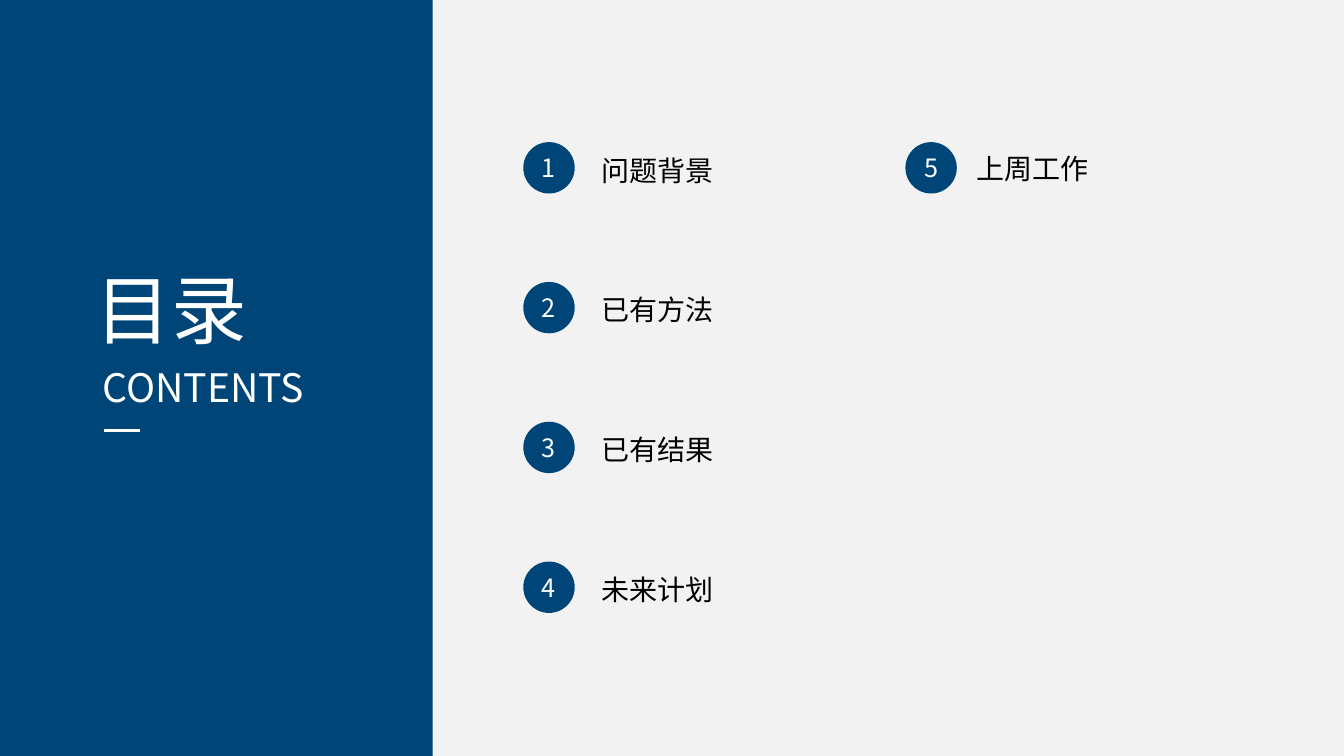
import pptx
import pptx.util
import pptx.dml.color
import pptx.enum.shapes
import pptx.enum.text
import pptx.oxml.ns
import lxml.etree
from dataclasses import dataclass

Inches = pptx.util.Inches
ALIGN = pptx.enum.text.PP_ALIGN
SHAPES = pptx.enum.shapes.MSO_SHAPE

# Content: each column holds (entry, label width)
TITLE, SUBTITLE = "目录", "CONTENTS"
COLUMNS = [
    [("问题背景", 3.16), ("已有方法", 2.9), ("已有结果", 3.73), ("未来计划", 1.62)],
    [("上周工作", 1.62)],
]

# Layout in inches
SLIDE_WIDTH, SLIDE_HEIGHT = 13.33, 7.5
PANEL_WIDTH = 4.29
GRID_LEFT, GRID_TOP = 5.19, 1.41
COLUMN_STEP, ROW_STEP = 3.79, 1.387
BADGE_SIZE = 0.51
LABEL_HEIGHT = 0.45
LABEL_OFFSETS = [(0.68, 0.06), (0.61, 0.04)]


@dataclass(frozen=True)
class Theme:
    font: str = "Noto Sans CJK SC"
    navy: str = "004578"
    gray: str = "F2F2F2"
    white: str = "FFFFFF"
    black: str = "000000"
    title: int = 54
    subtitle: int = 28
    label: int = 20
    badge: int = 18
    rule: float = 2.25


THEME = Theme()


def rgb(value):
    return pptx.dml.color.RGBColor.from_string(value)


def write(shape, text, size, color, alignment):
    paragraph = shape.text_frame.paragraphs[0]
    paragraph.alignment = alignment
    run = paragraph.add_run()
    run.text = text
    run.font.size = pptx.util.Pt(size)
    run.font.name = THEME.font
    run.font.color.rgb = rgb(color)
    east_asian = lxml.etree.SubElement(run.font._element, pptx.oxml.ns.qn("a:ea"))
    east_asian.set("typeface", THEME.font)


def add_text(slide, box, text, size, color, alignment=ALIGN.LEFT):
    shape = slide.shapes.add_textbox(*map(Inches, box))
    shape.text_frame.word_wrap = True
    shape.text_frame.auto_size = pptx.enum.text.MSO_AUTO_SIZE.SHAPE_TO_FIT_TEXT
    write(shape, text, size, color, alignment)


def add_navy_shape(slide, kind, box):
    shape = slide.shapes.add_shape(kind, *map(Inches, box))
    shape.shadow.inherit = False
    shape.fill.solid()
    shape.fill.fore_color.rgb = rgb(THEME.navy)
    shape.line.fill.background()
    return shape


def add_heading(slide):
    add_navy_shape(slide, SHAPES.RECTANGLE, (0, 0, PANEL_WIDTH, SLIDE_HEIGHT))
    add_text(slide, (0.85, 2.56, 1.78, 1.01), TITLE, THEME.title, THEME.white, ALIGN.JUSTIFY)
    add_text(slide, (0.92, 3.56, 2.45, 0.57), SUBTITLE, THEME.subtitle, THEME.white, ALIGN.JUSTIFY)
    rule = slide.shapes.add_connector(
        pptx.enum.shapes.MSO_CONNECTOR.STRAIGHT, *map(Inches, (1.03, 4.27, 1.39, 4.27)))
    rule.line.color.rgb = rgb(THEME.white)
    rule.line.width = pptx.util.Pt(THEME.rule)
    lxml.etree.SubElement(rule._element.spPr, pptx.oxml.ns.qn("a:effectLst"))


def add_entries(slide):
    number = 0
    for column, entries in enumerate(COLUMNS):
        left = GRID_LEFT + column * COLUMN_STEP
        offset_x, offset_y = LABEL_OFFSETS[column]
        for row, (entry, width) in enumerate(entries):
            number += 1
            top = GRID_TOP + row * ROW_STEP
            badge = add_navy_shape(slide, SHAPES.OVAL, (left, top, BADGE_SIZE, BADGE_SIZE))
            badge.text_frame.vertical_anchor = pptx.enum.text.MSO_ANCHOR.MIDDLE
            write(badge, str(number), THEME.badge, THEME.white, ALIGN.CENTER)
            add_text(slide, (left + offset_x, top + offset_y, width, LABEL_HEIGHT),
                     entry, THEME.label, THEME.black)


def main():
    presentation = pptx.Presentation()
    presentation.slide_width = Inches(SLIDE_WIDTH)
    presentation.slide_height = Inches(SLIDE_HEIGHT)
    slide = presentation.slides.add_slide(presentation.slide_layouts[6])
    slide.background.fill.solid()
    slide.background.fill.fore_color.rgb = rgb(THEME.gray)
    add_heading(slide)
    add_entries(slide)
    presentation.save("out.pptx")


if __name__ == "__main__":
    main()
